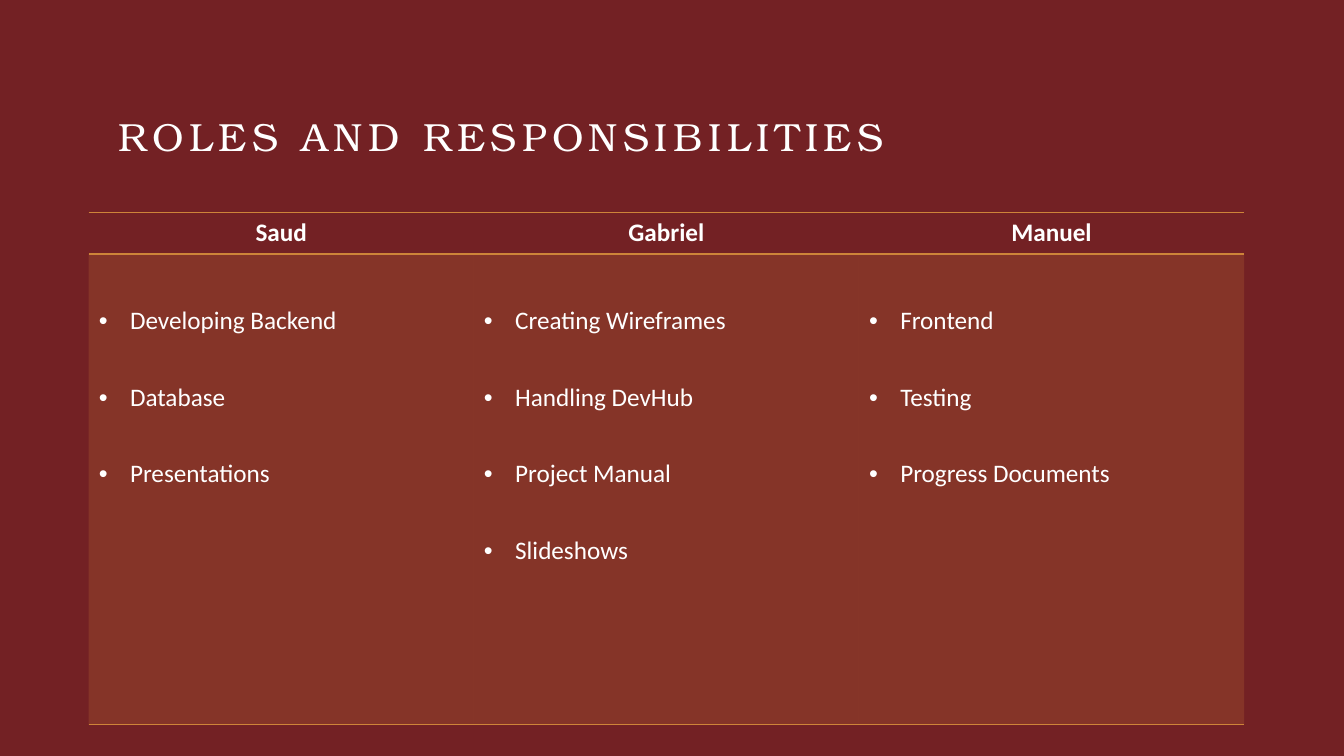
from dataclasses import dataclass

from lxml import etree
from pptx import Presentation
from pptx.dml.color import RGBColor
from pptx.enum.text import MSO_ANCHOR, MSO_AUTO_SIZE, PP_ALIGN
from pptx.oxml.ns import qn
from pptx.util import Inches, Pt

LEFT, CENTER = PP_ALIGN.LEFT, PP_ALIGN.CENTER
TOP, NO_FIT = MSO_ANCHOR.TOP, MSO_AUTO_SIZE.NONE

WINE = RGBColor(0x73, 0x21, 0x24)
AMBER = RGBColor(0xCE, 0x84, 0x39)
WHITE = RGBColor(0xFF, 0xFF, 0xFF)

WIDE, HIGH = Inches(13.33), Inches(7.5)
HEAD_H, BODY_H = Inches(0.41), Inches(4.67)
INDENT = Inches(0.31)

TITLE_FONT = {"name": "TeX Gyre Bonum", "size": Pt(28), "bold": False}
HEAD_FONT = {"name": "Calibri", "size": Pt(18), "bold": True}
BODY_FONT = {**HEAD_FONT, "bold": False}


@dataclass
class Role:
    name: str
    tasks: list[str]


ROLES = [
    Role("Saud", ["Developing Backend", "Database", "Presentations"]),
    Role("Gabriel", ["Creating Wireframes", "Handling DevHub",
                     "Project Manual", "Slideshows"]),
    Role("Manuel", ["Frontend", "Testing", "Progress Documents"]),
]


def write(para, text: str, style: dict):
    """Add one run of white text and return it."""
    run = para.add_run()
    run.text = text
    for key, value in style.items():
        setattr(run.font, key, value)
    run.font.color.rgb = WHITE
    return run


def add_bullet(para) -> None:
    props = para._p.get_or_add_pPr()
    props.set("marL", str(INDENT))
    props.set("indent", str(-INDENT))
    etree.SubElement(props, qn("a:buFont")).set("typeface", "Arial")
    etree.SubElement(props, qn("a:buChar")).set("char", "•")


def add_rules(cell) -> None:
    """Rule the cell above and below, and leave its sides open."""
    props = cell._tc.get_or_add_tcPr()
    for place, side in enumerate(("lnL", "lnR", "lnT", "lnB")):
        line = etree.Element(qn(f"a:{side}"), w=str(Pt(1)))
        if side in ("lnT", "lnB"):
            fill = etree.SubElement(line, qn("a:solidFill"))
            etree.SubElement(fill, qn("a:srgbClr")).set("val", str(AMBER))
        else:
            etree.SubElement(line, qn("a:noFill"))
        props.insert(place, line)


def fill_head(cell, role: Role) -> None:
    cell.fill.background()
    para = cell.text_frame.paragraphs[0]
    para.alignment = CENTER
    write(para, role.name, HEAD_FONT)
    add_rules(cell)


def fill_body(cell, role: Role) -> None:
    cell.fill.solid()
    cell.fill.fore_color.rgb = AMBER
    tint = cell._tc.tcPr.find(".//" + qn("a:srgbClr"))
    etree.SubElement(tint, qn("a:alpha")).set("val", "20000")
    frame = cell.text_frame
    for row, task in enumerate(role.tasks):
        para = frame.add_paragraph() if row else frame.paragraphs[0]
        para.line_spacing = 2.5
        add_bullet(para)
        write(para, task, BODY_FONT)
    add_rules(cell)


def add_title(slide, text: str) -> None:
    title = slide.shapes.title
    place = {"left": Inches(1.18), "top": Inches(1.11),
             "width": Inches(10.97), "height": Inches(0.72)}
    for key, value in place.items():
        setattr(title, key, value)
    frame = title.text_frame
    format = {"margin_left": 0, "margin_right": 0, "margin_top": 0,
              "margin_bottom": 0, "word_wrap": True,
              "vertical_anchor": TOP, "auto_size": NO_FIT}
    for key, value in format.items():
        setattr(frame, key, value)
    para = frame.paragraphs[0]
    para.alignment = LEFT
    run = write(para, text, TITLE_FONT)
    run.font._element.set("spc", "400")


def add_roles(slide, roles: list[Role]) -> None:
    frame = slide.shapes.add_table(
        2, len(roles), Inches(0.88), Inches(2.11),
        Inches(11.46), HEAD_H + BODY_H)
    table = frame.table
    table.first_row = table.horz_banding = False
    table.rows[0].height, table.rows[1].height = HEAD_H, BODY_H
    for col, role in enumerate(roles):
        fill_head(table.cell(0, col), role)
        fill_body(table.cell(1, col), role)


def main() -> None:
    deck = Presentation()
    deck.slide_width, deck.slide_height = WIDE, HIGH
    slide = deck.slides.add_slide(deck.slide_layouts[5])

    # Background
    back = slide.background.fill
    back.solid()
    back.fore_color.rgb = WINE

    # Title and table of roles
    add_title(slide, "ROLES AND RESPONSIBILITIES")
    add_roles(slide, ROLES)
    deck.save("out.pptx")


if __name__ == "__main__":
    main()
